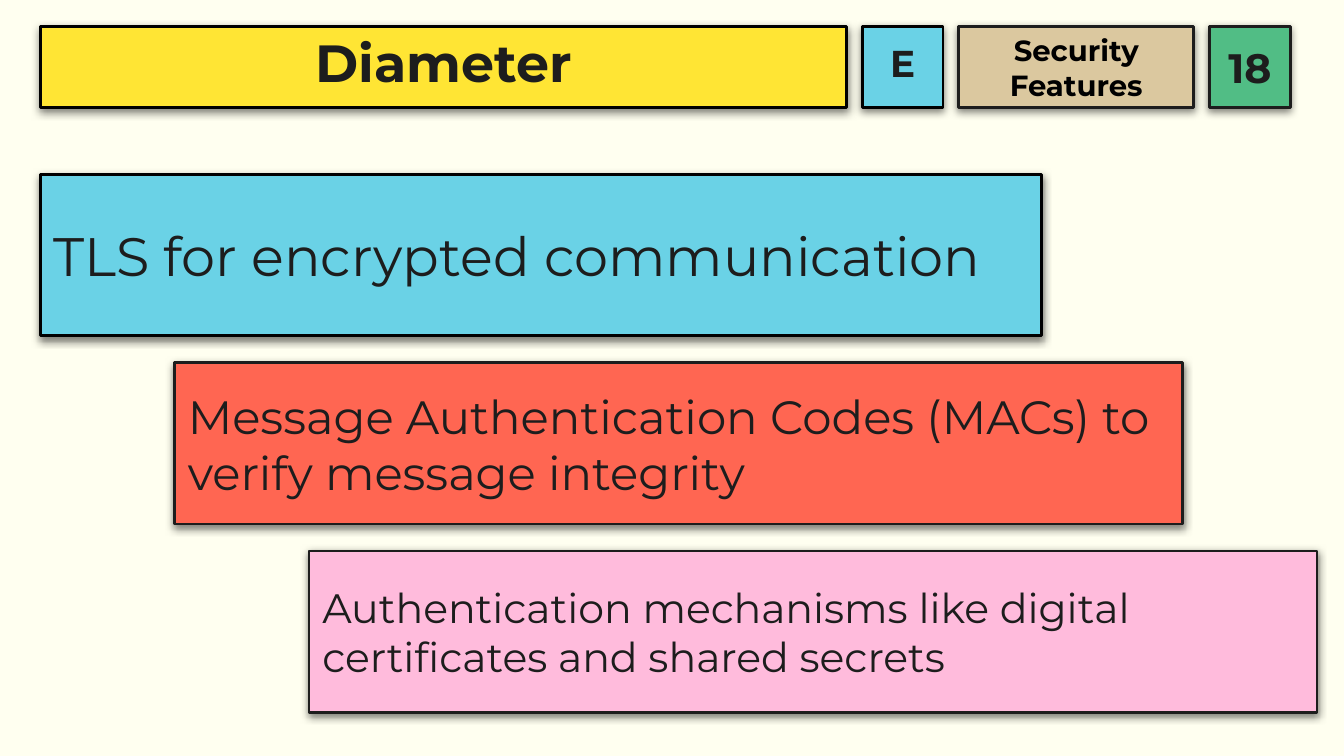
from dataclasses import dataclass

from lxml.etree import SubElement
from pptx import Presentation
from pptx.dml.color import RGBColor
from pptx.enum.shapes import MSO_SHAPE
from pptx.enum.text import MSO_ANCHOR, PP_ALIGN
from pptx.oxml.ns import qn
from pptx.util import Pt


@dataclass(frozen=True)
class Theme:
    font: str = "Montserrat"
    paper: str = "FFFFF0"
    ink: str = "1D1D1D"
    black: str = "000000"
    yellow: str = "FFE534"
    blue: str = "6AD2E6"
    red: str = "FF6652"
    pink: str = "FFBBDC"
    tan: str = "DBC89F"
    green: str = "51BD85"
    title: float = 28
    letter: float = 20
    topic: float = 15.6
    number: float = 22
    steps: tuple = (29, 25, 22)
    border: float = 1.5
    inset: float = 7.2


THEME = Theme()


def color(value):
    return RGBColor.from_string(value)


def add_shadow(shape):
    shape.shadow.inherit = False
    effects = shape._element.spPr.find(qn("a:effectLst"))
    outer = SubElement(effects, qn("a:outerShdw"), blurRad=str(Pt(4.5)),
                       dist=str(Pt(1.5)), dir="5400000", algn="bl", rotWithShape="0")
    tone = SubElement(outer, qn("a:srgbClr"), val=THEME.black)
    SubElement(tone, qn("a:alpha"), val="50000")


def add_card(slide, box, text, size, fill, line=THEME.ink, ink=THEME.ink,
             bold=False, align=PP_ALIGN.LEFT, spacing=1.0):
    card = slide.shapes.add_shape(MSO_SHAPE.RECTANGLE, *(Pt(side) for side in box))
    card.fill.solid()
    card.fill.fore_color.rgb = color(fill)
    card.line.color.rgb = color(line)
    card.line.width = Pt(THEME.border)
    add_shadow(card)

    frame = card.text_frame
    frame.word_wrap = True
    frame.vertical_anchor = MSO_ANCHOR.MIDDLE
    frame.margin_left = frame.margin_right = Pt(THEME.inset)
    frame.margin_top = frame.margin_bottom = Pt(THEME.inset)
    para = frame.paragraphs[0]
    para.alignment = align
    para.line_spacing = spacing
    run = para.add_run()
    run.text = text
    run.font.name = THEME.font
    run.font.size = Pt(size)
    run.font.bold = bold
    run.font.color.rgb = color(ink)


def add_header(slide, box):
    left, top, width, height = box
    cards = [
        (432, "Diameter", THEME.title, THEME.yellow, THEME.black, THEME.ink, 0.8),
        (height, "E", THEME.letter, THEME.blue, THEME.black, THEME.ink, 0.8),
        (126, "Security Features", THEME.topic, THEME.tan, THEME.ink, THEME.black, 1.0),
        (height, "18", THEME.number, THEME.green, THEME.ink, THEME.ink, 1.0),
    ]
    gap = (width - sum(card[0] for card in cards)) / (len(cards) - 1)
    for wide, text, size, fill, line, ink, spacing in cards:
        add_card(slide, (left, top, wide, height), text, size, fill, line, ink,
                 bold=True, align=PP_ALIGN.CENTER, spacing=spacing)
        left += wide + gap


def add_stairs(slide, box):
    left, top, width, height = box
    indent, gap = 72, 14.4
    steps = [
        ("TLS for encrypted communication", THEME.blue, THEME.black, 3.6),
        ("Message Authentication Codes (MACs) to verify message integrity",
         THEME.red, THEME.ink, 0),
        ("Authentication mechanisms like digital certificates and shared secrets",
         THEME.pink, THEME.ink, 0),
    ]
    wide = width - indent * (len(steps) - 1)
    tall = (height - gap * (len(steps) - 1)) / len(steps)
    for index, ((text, fill, line, trim), size) in enumerate(zip(steps, THEME.steps)):
        place = (left + index * indent, top + index * (tall + gap), wide - trim, tall)
        add_card(slide, place, text, size, fill, line)


def main():
    deck = Presentation()
    deck.slide_width, deck.slide_height = Pt(720), Pt(405)
    slide = deck.slides.add_slide(deck.slide_layouts[6])
    slide.background.fill.solid()
    slide.background.fill.fore_color.rgb = color(THEME.paper)
    add_header(slide, (21.6, 14.4, 669.6, 43.2))
    add_stairs(slide, (21.6, 93.6, 684, 288))
    deck.save("out.pptx")


if __name__ == "__main__":
    main()
